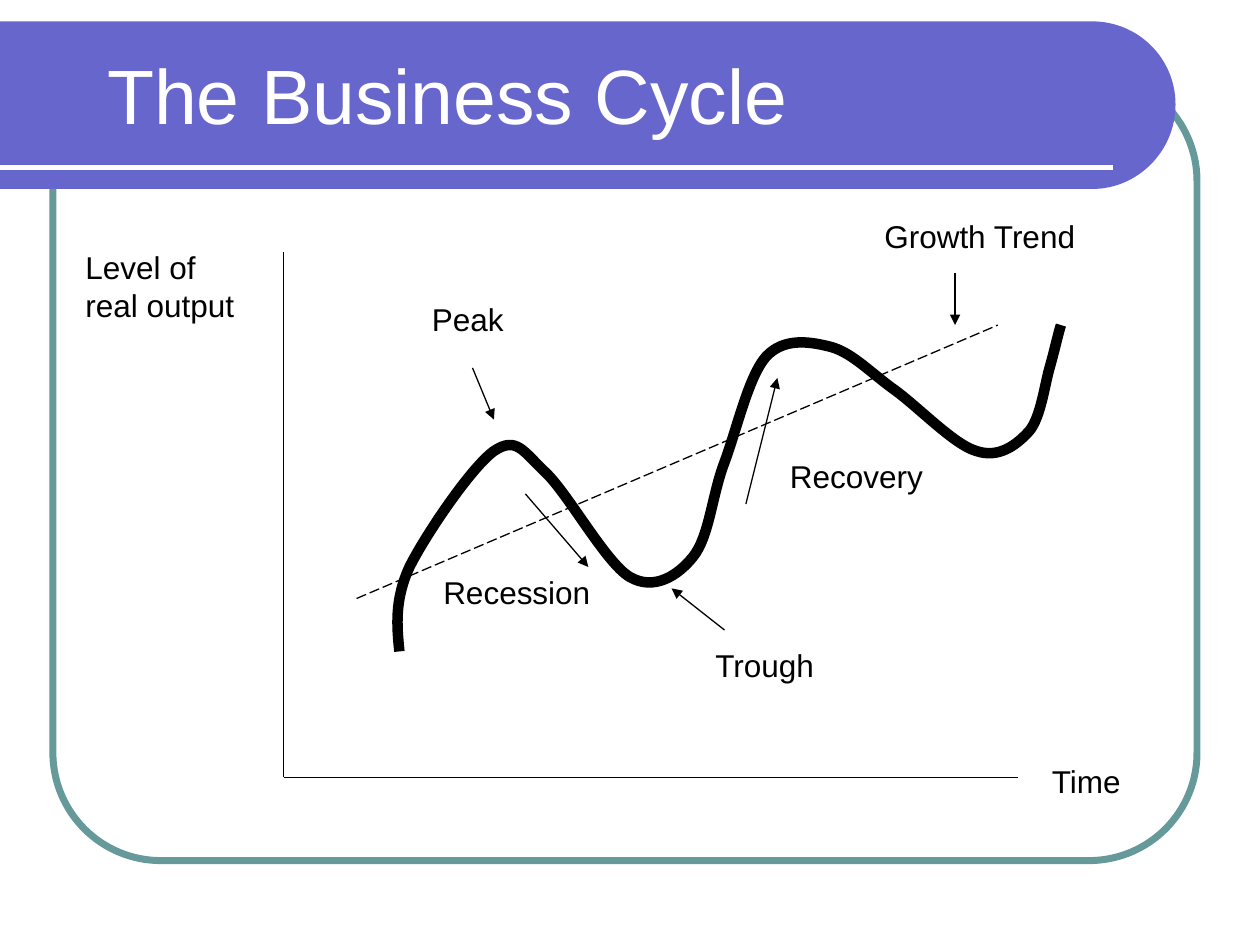
from lxml import etree
from pptx import Presentation
from pptx.dml.color import RGBColor
from pptx.enum.dml import MSO_LINE
from pptx.enum.shapes import MSO_CONNECTOR, MSO_SHAPE
from pptx.enum.text import MSO_ANCHOR, MSO_AUTO_SIZE, PP_ALIGN
from pptx.oxml.ns import qn
from pptx.util import Inches, Pt

STRAIGHT = MSO_CONNECTOR.STRAIGHT
ROUNDED = MSO_SHAPE.ROUNDED_RECTANGLE
LONG_DASH = MSO_LINE.LONG_DASH
TOP, LEFT = MSO_ANCHOR.TOP, PP_ALIGN.LEFT
NO_AUTOFIT = MSO_AUTO_SIZE.NONE
TITLE_ONLY = 5

FONT = "Arial"
BLACK, WHITE, PURPLE, TEAL = "000000", "FFFFFF", "6666CC", "669999"

# Half-round right end of the banner, then its straight sides
BANNER_CURVES = [(8.67, 0.17),
                 (9.03, 0.17), (9.33, 0.46), (9.33, 0.83),
                 (9.33, 1.2), (9.03, 1.5), (8.67, 1.5)]
BANNER_SIDES = [(0, 1.5), (0, 0.17)]

# Start point, then two handles and an end point for each curve
CYCLE = [(3.17, 5.17),
         (3.15, 4.97), (3.13, 4.76), (3.25, 4.5),
         (3.38, 4.24), (3.74, 3.71), (3.92, 3.58),
         (4.1, 3.46), (4.15, 3.58), (4.33, 3.75),
         (4.51, 3.92), (4.81, 4.47), (5, 4.58),
         (5.19, 4.69), (5.38, 4.57), (5.5, 4.42),
         (5.63, 4.26), (5.65, 3.93), (5.75, 3.67),
         (5.85, 3.4), (5.94, 2.99), (6.08, 2.83),
         (6.22, 2.68), (6.42, 2.71), (6.58, 2.75),
         (6.75, 2.79), (6.89, 2.94), (7.08, 3.08),
         (7.28, 3.22), (7.57, 3.53), (7.75, 3.58),
         (7.93, 3.64), (8.07, 3.53), (8.17, 3.42),
         (8.26, 3.31), (8.29, 3.06), (8.33, 2.92),
         (8.37, 2.78), (8.4, 2.64), (8.42, 2.58)]

# Text, left, top, width, height
LABELS = [
    ("Time", 8.25, 6, 1, 0.4),
    ("Level of real output", 0.58, 1.92, 1.5, 0.7),
    ("Peak", 3.33, 2.33, 1.25, 0.4),
    ("Recession", 3.42, 4.5, 1.5, 0.4),
    ("Trough", 5.58, 5.08, 1.17, 0.4),
    ("Recovery", 6.17, 3.58, 1.42, 0.4),
    ("Growth Trend", 6.92, 1.67, 2.25, 0.4),
]

# Arrows from label to curve
ARROWS = [
    ((3.75, 2.92), (3.92, 3.33)),
    ((4.17, 3.92), (4.67, 4.5)),
    ((5.75, 5), (5.33, 4.67)),
    ((5.92, 4), (6.17, 3)),
    ((7.58, 2.17), (7.58, 2.58)),
]


def color(value):
    return RGBColor.from_string(value)


def set_line(shape, value, width):
    shape.line.color.rgb = color(value)
    shape.line.width = Pt(width)


def add_line(slide, start, end, value=BLACK, width=0.75, dash=None, arrow=False):
    points = [Inches(number) for number in (*start, *end)]
    connector = slide.shapes.add_connector(STRAIGHT, *points)
    set_line(connector, value, width)
    if dash:
        connector.line.dash_style = dash
    if arrow:
        etree.SubElement(connector.line._get_or_add_ln(), qn("a:tailEnd"), type="triangle")
    etree.SubElement(connector._element.spPr, qn("a:effectLst"))


def add_curve(slide, curve_points, side_points=()):
    """Draw cubic curves, closed by straight sides if any are given."""
    points = [(Inches(x), Inches(y)) for x, y in (*curve_points, *side_points)]
    builder = slide.shapes.build_freeform(*points[0], scale=1.0)
    builder.add_line_segments(points[1:], close=bool(side_points))
    shape = builder.convert_to_shape()
    shape.shadow.inherit = False
    # Join each three line segments into one cubic curve
    segments = list(shape._element.iter(qn("a:lnTo")))[:len(curve_points) - 1]
    for index in range(0, len(segments), 3):
        cubic = etree.Element(qn("a:cubicBezTo"))
        segments[index].addprevious(cubic)
        for segment in segments[index:index + 3]:
            cubic.append(segment[0])
            segment.getparent().remove(segment)
    return shape


def write_text(shape, text, size, value):
    frame = shape.text_frame
    frame.word_wrap = True
    frame.auto_size = NO_AUTOFIT
    frame.vertical_anchor = TOP
    paragraph = frame.paragraphs[0]
    paragraph.alignment = LEFT
    run = paragraph.add_run()
    run.text = text
    run.font.name = FONT
    run.font.size = Pt(size)
    run.font.color.rgb = color(value)


def add_label(slide, text, *box):
    write_text(slide.shapes.add_textbox(*map(Inches, box)), text, 18, BLACK)


def add_frame(slide):
    frame = slide.shapes.add_shape(ROUNDED, *map(Inches, (0.42, 0.58, 9.08, 6.25)))
    frame.adjustments[0] = 0.137
    frame.shadow.inherit = False
    frame.fill.background()
    set_line(frame, TEAL, 4)


def add_banner(slide):
    banner = add_curve(slide, BANNER_CURVES, BANNER_SIDES)
    banner.fill.solid()
    banner.fill.fore_color.rgb = color(PURPLE)
    banner.line.fill.background()
    add_line(slide, (0, 1.33), (8.83, 1.33), WHITE, 3)


def set_title(slide, text):
    title = slide.shapes.title
    title.left, title.top, title.width, title.height = map(Inches, (0.75, 0.33, 5.92, 0.84))
    write_text(title, text, 44, WHITE)
    # Bring the title in front of the banner
    slide.shapes._spTree.append(title._element)


def main():
    presentation = Presentation()
    presentation.slide_width, presentation.slide_height = Inches(10), Inches(7.5)
    slide = presentation.slides.add_slide(presentation.slide_layouts[TITLE_ONLY])

    # Background decoration and title
    add_frame(slide)
    add_banner(slide)
    set_title(slide, "The Business Cycle")

    # Axes
    origin = (2.25, 6.17)
    add_line(slide, (2.25, 2), origin)
    add_line(slide, origin, (8.08, 6.17))

    # Business cycle and its growth trend
    cycle = add_curve(slide, CYCLE)
    cycle.fill.background()
    set_line(cycle, BLACK, 6)
    add_line(slide, (2.83, 4.75), (7.92, 2.58), dash=LONG_DASH)

    # Labels and arrows
    for label in LABELS:
        add_label(slide, *label)
    for start, end in ARROWS:
        add_line(slide, start, end, arrow=True)

    presentation.save("out.pptx")


if __name__ == "__main__":
    main()
